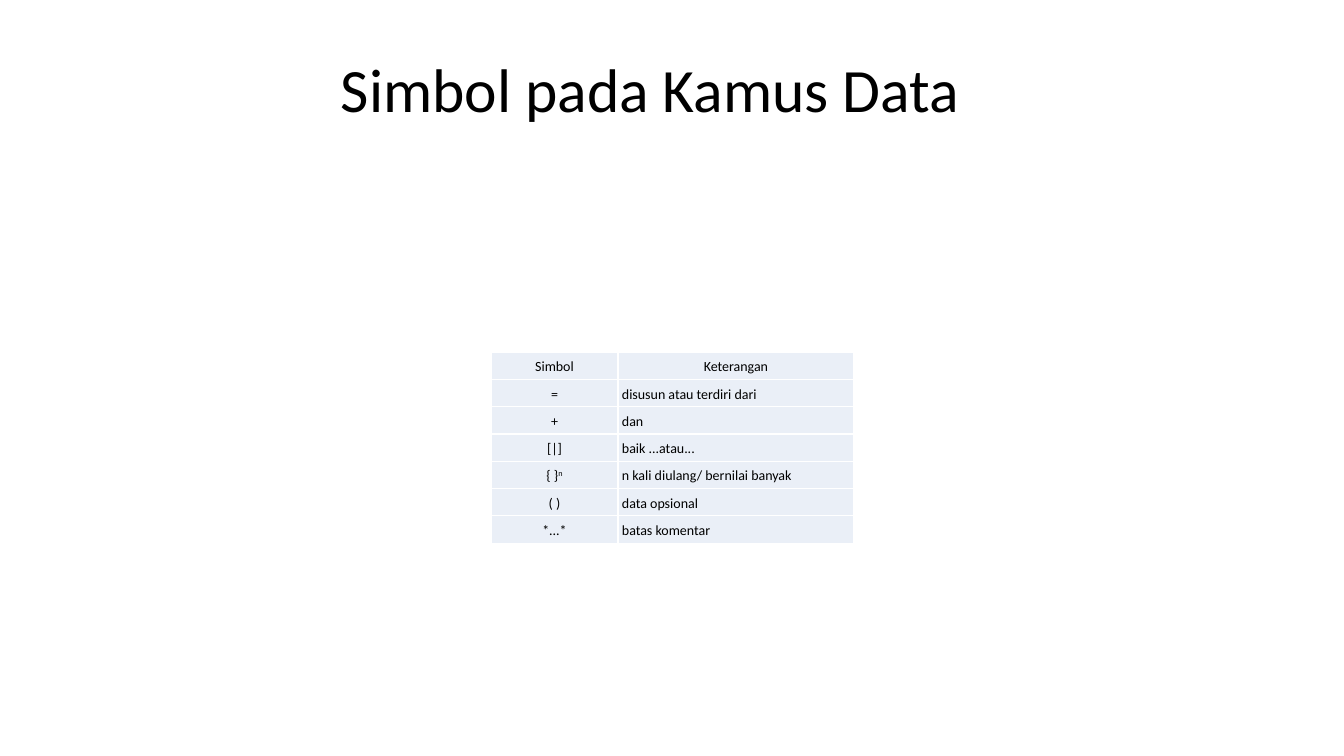
from dataclasses import dataclass

import pptx
import pptx.dml.color
import pptx.enum.dml
import pptx.enum.text
import pptx.oxml
import pptx.oxml.ns
import pptx.util

ALIGN = pptx.enum.text.PP_ALIGN
EMU_PER_PX = 914400 / 100.8


@dataclass(frozen=True)
class Theme:
    font: str = "Calibri"
    ink: str = "000000"
    cell: str = "EAEFF7"
    border: str = "FFFFFF"
    title_size: int = 44
    table_size: int = 10
    border_width: int = 1


THEME = Theme()

HEADINGS = ("Simbol", "Keterangan")
# Each symbol is (base text, superscript).
SYMBOLS = [
    (("=", ""), "disusun atau terdiri dari"),
    (("+", ""), "dan"),
    (("[|]", ""), "baik ...atau..."),
    (("{ }", "n"), "n kali diulang/ bernilai banyak"),
    (("( )", ""), "data opsional"),
    (("*...*", ""), "batas komentar"),
]


def px(length):
    return pptx.util.Emu(round(length * EMU_PER_PX))


def rgb(color):
    return pptx.dml.color.RGBColor.from_string(color)


def add_run(paragraph, text, size):
    run = paragraph.add_run()
    run.text = text
    run.font.name = THEME.font
    run.font.size = pptx.util.Pt(size)
    run.font.bold = False
    run.font.color.rgb = rgb(THEME.ink)
    return run


def set_borders(cell):
    properties = cell._tc.get_or_add_tcPr()
    width = pptx.util.Pt(THEME.border_width)
    for position, side in enumerate(("lnL", "lnR", "lnT", "lnB")):
        line = pptx.oxml.parse_xml(
            f'<a:{side} {pptx.oxml.ns.nsdecls("a")} w="{width}"><a:solidFill>'
            f'<a:srgbClr val="{THEME.border}"/></a:solidFill></a:{side}>'
        )
        properties.insert(position, line)


def fill_cell(cell, text, align, superscript=""):
    cell.fill.solid()
    cell.fill.fore_color.rgb = rgb(THEME.cell)
    cell.margin_left = cell.margin_right = px(4)
    cell.margin_top = cell.margin_bottom = px(4)
    set_borders(cell)
    paragraph = cell.text_frame.paragraphs[0]
    paragraph.alignment = align
    paragraph.line_spacing = 1.15
    add_run(paragraph, text, THEME.table_size)
    if superscript:
        raised = add_run(paragraph, superscript, THEME.table_size)
        raised.font._element.set("baseline", "30000")


def add_title(slide, left, top, width, height):
    frame = slide.shapes.add_textbox(px(left), px(top), px(width), px(height)).text_frame
    frame.word_wrap = True
    frame.vertical_anchor = pptx.enum.text.MSO_ANCHOR.MIDDLE
    paragraph = frame.paragraphs[0]
    paragraph.line_spacing = 0.9
    add_run(paragraph, "Simbol pada Kamus Data", THEME.title_size)


def add_symbol_table(slide, left, top, width, height):
    row_count = len(SYMBOLS) + 1
    table = slide.shapes.add_table(
        row_count, len(HEADINGS), px(left), px(top), px(width), px(height)
    ).table
    table.first_row = table.horz_banding = False
    symbol_width = round(width * 0.35)
    table.columns[0].width = px(symbol_width)
    table.columns[1].width = px(width - symbol_width)
    for row in table.rows:
        row.height = px(height / row_count)

    for column, heading in enumerate(HEADINGS):
        fill_cell(table.cell(0, column), heading, ALIGN.CENTER)
    for row, ((symbol, superscript), meaning) in enumerate(SYMBOLS, start=1):
        fill_cell(table.cell(row, 0), symbol, ALIGN.CENTER, superscript)
        fill_cell(table.cell(row, 1), meaning, ALIGN.JUSTIFY)


def main():
    deck = pptx.Presentation()
    deck.slide_width, deck.slide_height = px(1344), px(756)
    slide = deck.slides.add_slide(deck.slide_layouts[6])
    add_title(slide, 331, 40, 921, 106)
    add_symbol_table(slide, 491, 352, 363, 190)
    deck.save("out.pptx")


if __name__ == "__main__":
    main()
